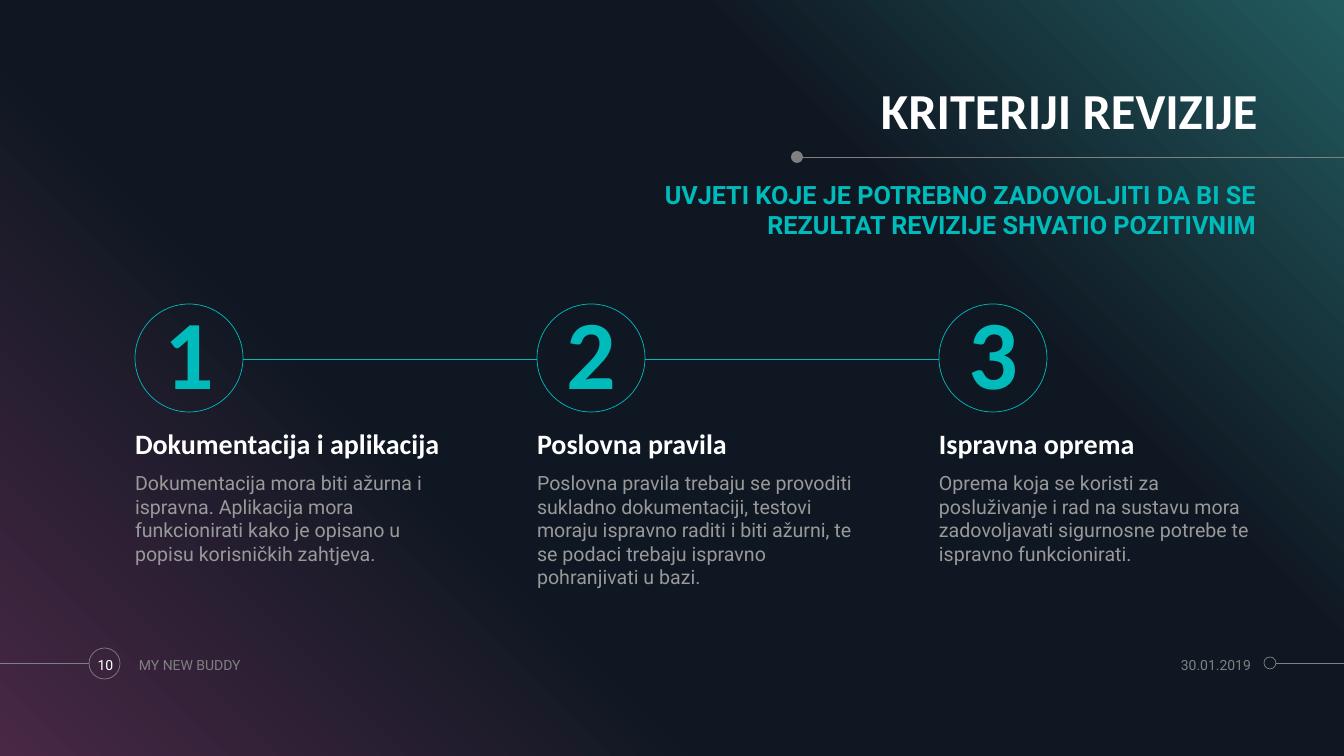
from lxml import etree
from pptx import Presentation
from pptx import util as u
from pptx.dml.color import RGBColor
from pptx.enum import shapes, text
from pptx.oxml import ns

SLIDE_W, SLIDE_H = 1344, 756
SCALE = 12192000 / SLIDE_W

COLORS = {
    "purple": "482845",
    "night": "0F1722",
    "green": "225B5F",
    "teal": "00BBBB",
    "white": "FFFFFF",
    "grey": "808080",
    "body": "999999",
}
BACKDROP = [(0, "purple"), (34, "night"), (69, "night"), (100, "green")]

LEFT, RIGHT = text.PP_ALIGN.LEFT, text.PP_ALIGN.RIGHT
CENTER = text.PP_ALIGN.CENTER
TOP, MIDDLE = text.MSO_ANCHOR.TOP, text.MSO_ANCHOR.MIDDLE
BOTTOM = text.MSO_ANCHOR.BOTTOM

STYLES = {
    "title": dict(name="Calibri", size=36, bold=True, color="white",
                  alignment=RIGHT, anchor=BOTTOM, spacing=0.9),
    "subtitle": dict(name="Roboto", size=18, bold=True, color="teal",
                     alignment=RIGHT, anchor=TOP, spacing=1.0),
    "number": dict(name="Calibri", size=70, bold=True, color="teal",
                   alignment=CENTER, anchor=MIDDLE, spacing=0.9),
    "heading": dict(name="Calibri", size=20, bold=True, color="white",
                    alignment=LEFT, anchor=BOTTOM, spacing=0.9),
    "body": dict(name="Roboto", size=14, bold=False, color="body",
                 alignment=LEFT, anchor=TOP, spacing=1.0),
    "page": dict(name="Roboto", size=10, bold=False, color="white",
                 alignment=CENTER, anchor=MIDDLE, spacing=1.0),
    "footer": dict(name="Roboto", size=10, bold=False, color="grey",
                   alignment=LEFT, anchor=MIDDLE, spacing=1.0),
    "date": dict(name="Roboto", size=10, bold=False, color="grey",
                 alignment=RIGHT, anchor=MIDDLE, spacing=1.0),
}

CRITERIA = [
    ("Dokumentacija i aplikacija",
     "Dokumentacija mora biti ažurna i ispravna. Aplikacija mora "
     "funkcionirati kako je opisano u popisu korisničkih zahtjeva."),
    ("Poslovna pravila",
     "Poslovna pravila trebaju se provoditi sukladno dokumentaciji, testovi "
     "moraju ispravno raditi i biti ažurni, te se podaci trebaju ispravno "
     "pohranjivati u bazi."),
    ("Ispravna oprema",
     "Oprema koja se koristi za posluživanje i rad na sustavu mora "
     "zadovoljavati sigurnosne potrebe te ispravno funkcionirati."),
]
STEP_LEFT, STEP_PITCH = 135, 402
CIRCLE_TOP, CIRCLE_SIZE = 304, 108
STEP_LINE_Y = 359
FOOTER_Y = 663


def px(length):
    return u.Emu(round(length * SCALE))


def rgb(color):
    return RGBColor.from_string(COLORS[color])


def paint_background(slide):
    fill = slide.background.fill
    fill.gradient()
    fill.gradient_angle = 45
    stops = slide.element.find(".//" + ns.qn("a:gsLst"))
    for stop in list(stops):
        stops.remove(stop)
    for percent, color in BACKDROP:
        stop = etree.SubElement(stops, ns.qn("a:gs"), pos=str(percent * 1000))
        etree.SubElement(stop, ns.qn("a:srgbClr"), val=COLORS[color])


def write(shape, wording, style):
    """Fill a shape's text frame with one paragraph in a named style."""
    look = STYLES[style]
    frame = shape.text_frame
    frame.text = wording
    settings = dict(margin_left=0, margin_right=0, margin_top=0,
                    margin_bottom=0, word_wrap=True,
                    auto_size=text.MSO_AUTO_SIZE.NONE,
                    vertical_anchor=look["anchor"])
    for name, value in settings.items():
        setattr(frame, name, value)
    paragraph = frame.paragraphs[0]
    paragraph.alignment = look["alignment"]
    paragraph.line_spacing = look["spacing"]
    font = paragraph.runs[0].font
    for name in ("name", "bold"):
        setattr(font, name, look[name])
    font.size = u.Pt(look["size"])
    font.color.rgb = rgb(look["color"])


def add_title(slide, wording, box):
    title = slide.shapes.title
    title.left, title.top, title.width, title.height = map(px, box)
    write(title, wording, "title")


def add_text(slide, wording, box, style):
    write(slide.shapes.add_textbox(*map(px, box)), wording, style)


def add_line(slide, start, end, y, color):
    line = slide.shapes.add_connector(
        shapes.MSO_CONNECTOR.STRAIGHT, px(start), px(y), px(end), px(y))
    line.line.color.rgb = rgb(color)
    line.line.width = u.Pt(0.5)
    etree.SubElement(line.element.spPr, ns.qn("a:effectLst"))


def add_circle(slide, left, top, size, color, filled=False):
    circle = slide.shapes.add_shape(
        shapes.MSO_SHAPE.OVAL, px(left), px(top), px(size), px(size))
    circle.shadow.inherit = False
    if filled:
        circle.fill.solid()
        circle.fill.fore_color.rgb = rgb(color)
        circle.line.fill.background()
    else:
        circle.fill.background()
        circle.line.color.rgb = rgb(color)
        circle.line.width = u.Pt(0.5)
    return circle


def add_header(slide):
    add_line(slide, SLIDE_W, 800, 157, "grey")
    add_circle(slide, 791, 151, 12, "grey", filled=True)
    add_title(slide, "KRITERIJI REVIZIJE", (562, 78, 696, 62))
    add_text(slide, "UVJETI KOJE JE POTREBNO ZADOVOLJITI DA BI SE "
             "REZULTAT REVIZIJE SHVATIO POZITIVNIM",
             (562, 179, 694, 62), "subtitle")


def add_criterion(slide, index, heading, body):
    left = STEP_LEFT + index * STEP_PITCH
    if index:
        add_line(slide, left - STEP_PITCH + CIRCLE_SIZE, left,
                 STEP_LINE_Y, "teal")
    circle = add_circle(slide, left, CIRCLE_TOP, CIRCLE_SIZE, "teal")
    write(circle, str(index + 1), "number")
    add_text(slide, heading, (left, 425, 355, 36), "heading")
    add_text(slide, body, (left, 471, 325, 156), "body")


def add_footer(slide):
    add_line(slide, 0, 89, FOOTER_Y, "grey")
    add_circle(slide, 89, 648, 31, "grey")
    add_text(slide, "10", (86, 648, 39, 33), "page")
    add_text(slide, "MY NEW BUDDY", (139, 648, 312, 33), "footer")
    add_text(slide, "30.01.2019", (1104, 648, 147, 33), "date")
    add_circle(slide, 1264, 657, 12, "grey")
    add_line(slide, 1276, SLIDE_W, FOOTER_Y, "grey")


def main():
    deck = Presentation()
    deck.slide_width, deck.slide_height = px(SLIDE_W), px(SLIDE_H)
    slide = deck.slides.add_slide(deck.slide_layouts.get_by_name("Title Only"))
    paint_background(slide)
    add_header(slide)
    for index, (heading, body) in enumerate(CRITERIA):
        add_criterion(slide, index, heading, body)
    add_footer(slide)
    deck.save("out.pptx")


if __name__ == "__main__":
    main()
